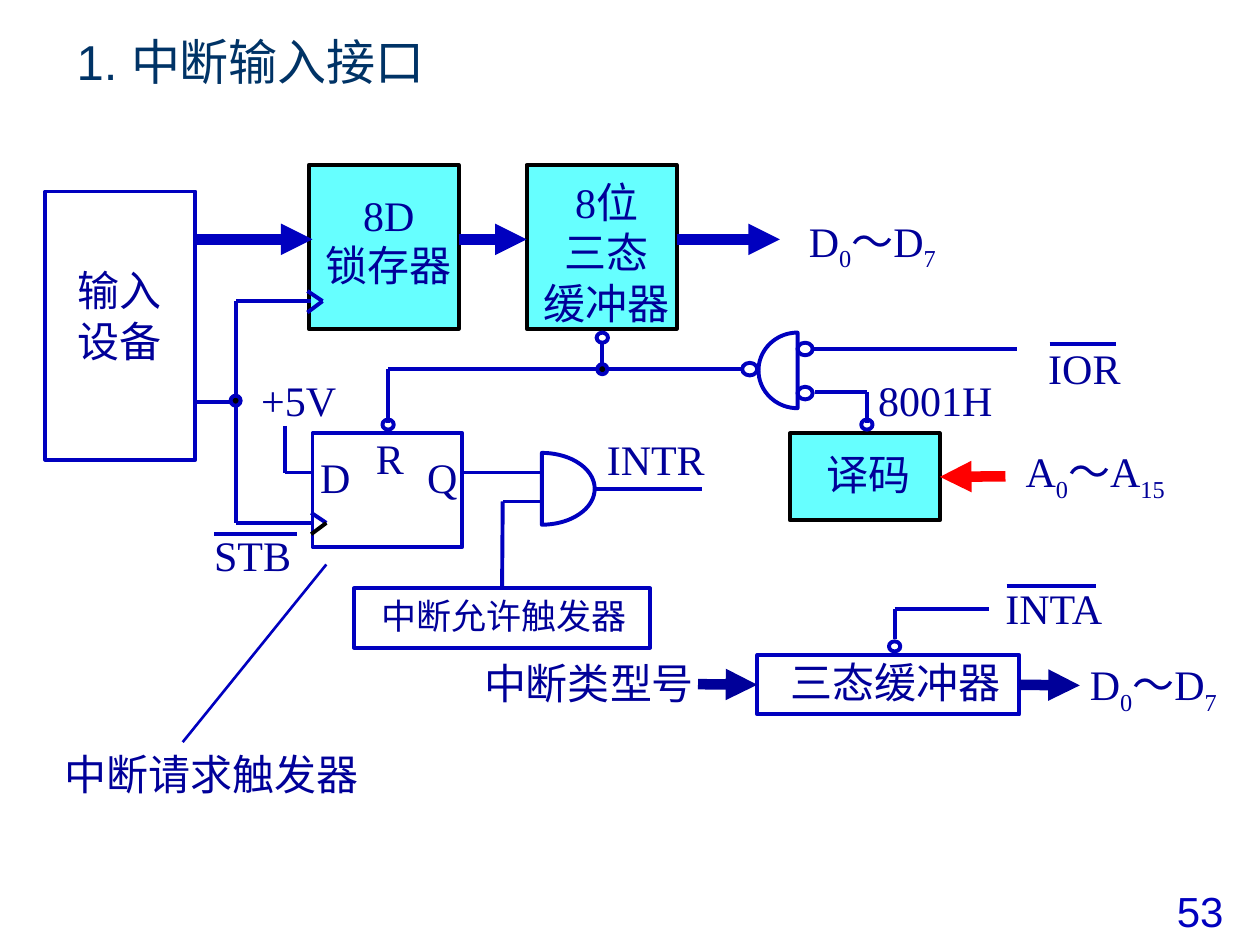
"""Builds a slide with the block diagram of an interrupt-driven input interface."""
import math
from itertools import pairwise

from lxml import etree
from pptx import Presentation
from pptx import util as u
from pptx.dml.color import RGBColor
from pptx.enum import shapes, text
from pptx.oxml.ns import qn

COLORS = {"title": "003366", "text": "000099", "wire": "0000BF", "block": "66FFFF",
          "edge": "000000", "address": "FF0000"}
ALIGN = {"left": text.PP_ALIGN.LEFT, "center": text.PP_ALIGN.CENTER, "right": text.PP_ALIGN.RIGHT}
CM_PER_INCH = 2.54

BLOCKS = {
    "latch": (2.45, 1.31, 1.19, 1.3, "block", "edge"),
    "bus buffer": (4.18, 1.31, 1.19, 1.3, "block", "edge"),
    "decoder": (6.27, 3.44, 1.19, 0.69, "block", "edge"),
    "device": (0.36, 1.52, 1.19, 2.13, None, "wire"),
    "request flip-flop": (2.48, 3.44, 1.19, 0.9, None, "wire"),
    "enable flip-flop": (2.81, 4.67, 2.35, 0.47, None, "wire"),
    "type buffer": (6.01, 5.2, 2.08, 0.47, None, "wire"),
}

WIRES = [
    [(1.54, 3.19), (1.87, 3.19)],
    [(2.47, 2.39), (1.87, 2.39), (1.87, 4.15), (2.47, 4.15)],
    [(2.26, 3.38), (2.26, 3.75), (2.48, 3.75)],
    [(3.08, 3.36), (3.08, 2.93), (5.9, 2.93)],
    [(4.78, 2.93), (4.78, 2.73)],
    [(3.66, 3.75), (4.3, 3.75)],
    [(4.29, 3.98), (3.99, 3.98)],
    [(4.71, 3.88), (5.57, 3.88)],
    [(6.44, 2.77), (8.07, 2.77)],
    [(6.47, 3.11), (6.88, 3.11), (6.88, 3.36)],
    [(7.1, 5.07), (7.1, 4.83), (7.85, 4.83)],
    [(2.44, 2.31), (2.56, 2.39), (2.44, 2.48)],
    [(2.47, 4.07), (2.59, 4.15)],
]
OVERBARS = [(8.33, 8.86, 2.73), (7.99, 8.7, 4.65), (1.7, 2.36, 4.24)]

ARROWS = [
    ((1.54, 1.9), (2.48, 1.9), "wire", None, None),
    ((3.64, 1.9), (4.18, 1.9), "wire", None, None),
    ((5.37, 1.9), (6.19, 1.9), "wire", None, None),
    ((7.98, 3.78), (7.48, 3.78), "address", None, ("decoder", 3)),
    ((5.54, 5.43), (6.01, 5.43), "text", None, ("type buffer", 1)),
    ((8.11, 5.44), (8.57, 5.44), "text", ("type buffer", 3), None),
]

GATES = [(4.3, 3.88, 0.42, 0.285), (6.33, 2.94, -0.31, 0.3)]

BUBBLE, GATE_BUBBLE = (0.09, 0.08), (0.12, 0.1)
CIRCLES = [(x, y, size, None) for size, centers in [
    (BUBBLE, [(7.1, 5.13), (4.78, 2.68), (6.88, 3.37), (3.08, 3.37)]),
    (GATE_BUBBLE, [(5.95, 2.93), (6.39, 2.77), (6.39, 3.12)]),
] for x, y in centers]
CIRCLES += [(x, y, (0.08, 0.08), "edge") for x, y in [(4.78, 2.93), (1.87, 3.18)]]

LABELS = [
    ("输入\n设备", (0.43, 2.09, 1.03, 1.09), "center", 24),
    ("8D\n锁存器", (2.37, 1.49, 1.43, 0.91), "center", 24),
    ("8位\n三态\n缓冲器", (4.1, 1.39, 1.43, 1.3), "center", 24),
    ("D|0|～D|7", (6.41, 1.7, 1.27, 0.55), "left", 24),
    ("IOR", (8.31, 2.71, 1.04, 0.48), "left", 24),
    ("+5V", (1.93, 2.96, 0.88, 0.48), "center", 24),
    ("8001H", (6.96, 2.96, 1.27, 0.4), "left", 24),
    ("D", (2.53, 3.57, 0.58, 0.4), "left", 24),
    ("R", (2.89, 3.42, 0.41, 0.4), "center", 24),
    ("Q", (3.06, 3.57, 0.58, 0.4), "right", 24),
    ("INTR", (4.69, 3.43, 1.03, 0.4), "center", 24),
    ("译码", (6.18, 3.55, 1.43, 0.48), "center", 24),
    ("A|0|～A|15", (8.13, 3.53, 1.46, 0.66), "left", 24),
    ("STB", (1.69, 4.19, 1.04, 0.48), "left", 24),
    ("中断允许触发器", (2.74, 4.71, 2.52, 0.47), "center", 20),
    ("INTA", (7.97, 4.61, 1.04, 0.48), "left", 24),
    ("三态缓冲器", (5.85, 5.2, 2.51, 0.47), "center", 24),
    ("中断类型号", (3.66, 5.21, 2.03, 0.53), "center", 24),
    ("D|0|～D|7", (8.64, 5.22, 1.27, 0.59), "left", 24),
    ("中断请求触发器", (0.5, 5.93, 2.6, 0.42), "left", 24),
]


def lengths(*inches):
    return [u.Cm(value * CM_PER_INCH) for value in inches]


def color(name):
    return RGBColor.from_string(COLORS[name])


def style(shape, fill, line, width=2.25):
    shape.shadow.inherit = False
    if fill:
        shape.fill.solid()
        shape.fill.fore_color.rgb = color(fill)
    else:
        shape.fill.background()
    shape.line.color.rgb = color(line)
    shape.line.width = u.Pt(width)


def add_text(page, content, place, *, size=24, font="Times New Roman", ink="text",
             align="left", inset=0.01, anchor=text.MSO_ANCHOR.TOP):
    box = page.shapes.add_textbox(*lengths(*place))
    frame = box.text_frame
    frame.word_wrap = True
    frame.vertical_anchor = anchor
    margin, = lengths(inset)
    frame.margin_left = frame.margin_right = frame.margin_top = frame.margin_bottom = margin
    for row, words in enumerate(content.split("\n")):
        para = frame.add_paragraph() if row else frame.paragraphs[0]
        para.alignment = ALIGN[align]
        for index, piece in enumerate(words.split("|")):
            span = para.add_run()
            span.text = piece
            span.font.name, span.font.size = font, u.Pt(size)
            span.font.color.rgb = color(ink)
            if index % 2:
                span.font._element.set("baseline", "-25000")


def add_line(page, start, end, ink="wire", width=2.25, arrow=False):
    line = page.shapes.add_connector(shapes.MSO_CONNECTOR.STRAIGHT, *lengths(*start, *end))
    line.line.color.rgb = color(ink)
    line.line.width = u.Pt(width)
    if arrow:
        etree.SubElement(line.line._get_or_add_ln(), qn("a:tailEnd"), type="triangle")
    etree.SubElement(line._element.spPr, qn("a:effectLst"))
    return line


def add_gate(page, x, y, depth, half):
    angles = [math.pi * (step / 36 - 0.5) for step in range(37)]
    points = [lengths(x + depth * math.cos(a), y + half * math.sin(a)) for a in angles]
    builder = page.shapes.build_freeform(*points[0])
    builder.add_line_segments(points[1:], close=True)
    style(builder.convert_to_shape(), None, "wire")


def main():
    deck = Presentation()
    deck.slide_width, deck.slide_height = lengths(10, 7.5)
    page = deck.slides.add_slide(deck.slide_layouts[6])

    add_text(page, "1. 中断输入接口", (0.51, 0.21, 8.43, 0.55), size=28, font="Arial",
             ink="title", inset=0.1, anchor=text.MSO_ANCHOR.MIDDLE)
    add_text(page, "53", (9.17, 6.98, 0.71, 0.5), font="Arial", ink="wire",
             align="center", inset=0.05)

    blocks = {}
    for name, (*place, fill, line) in BLOCKS.items():
        blocks[name] = page.shapes.add_shape(shapes.MSO_SHAPE.RECTANGLE, *lengths(*place))
        style(blocks[name], fill, line)
    for wire in WIRES:
        for start, end in pairwise(wire):
            add_line(page, start, end)
    for left, right, y in OVERBARS:
        add_line(page, (left, y), (right, y))
    add_line(page, (2.47, 4.24), (2.59, 4.15), ink="edge")
    add_line(page, (2.59, 4.48), (1.45, 5.89), width=1.5)
    enable = add_line(page, (3.99, 4.67), (3.99, 3.98))
    enable.begin_connect(blocks["enable flip-flop"], 0)
    for gate in GATES:
        add_gate(page, *gate)
    for x, y, (width, height), fill in CIRCLES:
        place = lengths(x - width / 2, y - height / 2, width, height)
        style(page.shapes.add_shape(shapes.MSO_SHAPE.OVAL, *place), fill, "wire")
    for start, end, ink, source, target in ARROWS:
        arrow = add_line(page, start, end, ink, width=6, arrow=True)
        if source:
            arrow.begin_connect(blocks[source[0]], source[1])
        if target:
            arrow.end_connect(blocks[target[0]], target[1])
    for content, place, align, size in LABELS:
        add_text(page, content, place, align=align, size=size)
    deck.save("out.pptx")


if __name__ == "__main__":
    main()
